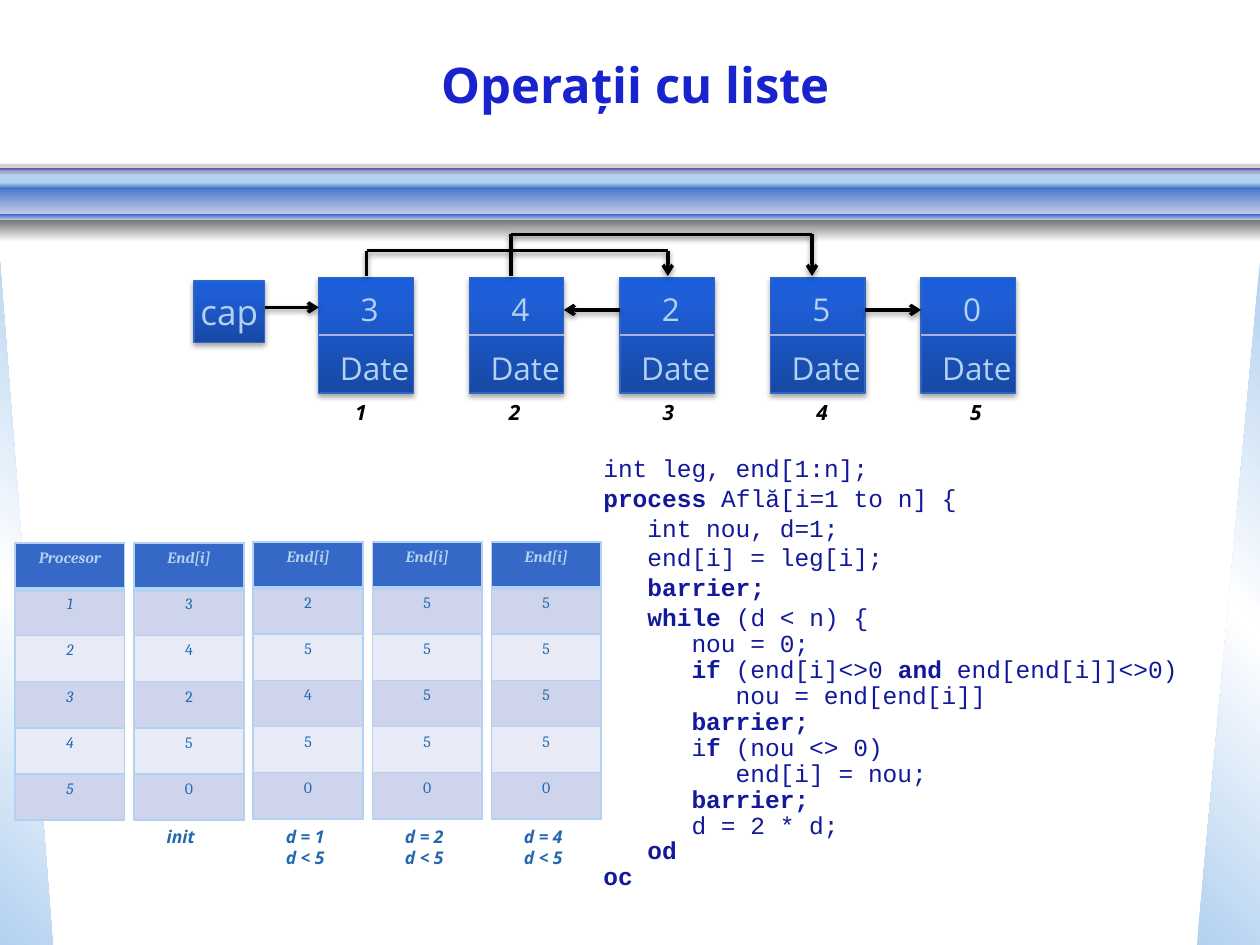
import pptx
import pptx.dml.color
import pptx.enum.shapes
import pptx.enum.text
import pptx.oxml
import pptx.oxml.ns
import pptx.util

COLS, ROWS = 100, 75
SANS, SERIF, MONO = "Open Sans", "Cambria", "Courier New"
PALE, BLUE, MIST = "B3D1F0", "3568C7", "CAD0E9"
NODE_STOPS = [(0, "1749A5"), (80, "1E5ED6"), (100, "1B5EDB")]
SHAPE = pptx.enum.shapes.MSO_SHAPE
CENTER = pptx.enum.text.PP_ALIGN.CENTER
MIDDLE = pptx.enum.text.MSO_ANCHOR.MIDDLE
qn = pptx.oxml.ns.qn

LIST_LINKS = [3, 4, 2, 5, 0]
TABLES = [
    ("Procesor", [1, 2, 3, 4, 5], []),
    ("End[i]", LIST_LINKS, ["init"]),
    ("End[i]", [2, 5, 4, 5, 0], ["d = 1", "d < 5"]),
    ("End[i]", [5, 5, 5, 5, 0], ["d = 2", "d < 5"]),
    ("End[i]", [5, 5, 5, 5, 0], ["d = 4", "d < 5"]),
]
CODE = [
    (0, "int leg, end[1:n];"),
    (0, "**process** Află[i=1 to n] {"),
    (1, "int nou, d=1;"),
    (1, "end[i] = leg[i];"),
    (1, "**barrier;**"),
    (1, "**while** (d < n) {"),
    (2, "nou = 0;"),
    (2, "**if** (end[i]<>0 **and** end[end[i]]<>0)"),
    (3, "nou = end[end[i]]"),
    (2, "**barrier;**"),
    (2, "i**f** (nou <> 0)"),
    (3, "end[i] = nou;"),
    (2, "**barrier;**"),
    (2, "d = 2 * d;"),
    (1, "**od**"),
    (0, "**oc**"),
]


def grid(*cells):
    return [pptx.util.Inches(c / 10) for c in cells]


def color(value):
    return pptx.dml.color.RGBColor.from_string(value)


def xml(tag, attrs, inner=""):
    ns = pptx.oxml.ns.nsdecls("a")
    return pptx.oxml.parse_xml(f"<a:{tag} {ns} {attrs}>{inner}</a:{tag}>")


def set_font(p, name, size, value, bold=False, italic=False):
    p.font.name, p.font.size = name, pptx.util.Pt(size)
    p.font.bold, p.font.italic = bold, italic
    p.font.color.rgb = color(value)


def set_gradient(sp, stops, angle):
    sp.fill.background()
    spPr = sp._element.spPr
    gs = "".join(f'<a:gs pos="{pos * 1000}"><a:srgbClr val="{c}"/></a:gs>' for pos, c in stops)
    inner = f'<a:gsLst>{gs}</a:gsLst><a:lin ang="{angle * 60000}" scaled="0"/>'
    spPr.replace(spPr.find(qn("a:noFill")), xml("gradFill", 'rotWithShape="1"', inner))


def add_shadow(sp, alpha, dist):
    spPr = sp._element.spPr
    for old in spPr.findall(qn("a:effectLst")):
        spPr.remove(old)
    clr = f'<a:srgbClr val="000000"><a:alpha val="{alpha * 1000}"/></a:srgbClr>'
    spPr.append(xml("effectLst", "", f'<a:outerShdw blurRad="40000" dist="{dist}" dir="5400000" '
                                     f'rotWithShape="0">{clr}</a:outerShdw>'))


def add_box(slide, box, kind=SHAPE.RECTANGLE):
    sp = slide.shapes.add_shape(kind, *grid(*box))
    sp.shadow.inherit = False
    sp.line.fill.background()
    return sp


def add_text(slide, box, lines, *font):
    tf = slide.shapes.add_textbox(*grid(*box)).text_frame
    tf.word_wrap = True
    tf.text = "\n".join(lines)
    for p in tf.paragraphs:
        set_font(p, *font)


def add_line(slide, start, end, value="000000", width=2, arrow=False):
    cn = slide.shapes.add_connector(pptx.enum.shapes.MSO_CONNECTOR.STRAIGHT, *grid(*start, *end))
    cn.line.color.rgb, cn.line.width = color(value), pptx.util.Pt(width)
    if arrow:
        cn.line._get_or_add_ln().append(xml("tailEnd", 'type="arrow"'))
    cn._element.spPr.append(xml("effectLst", ""))
    return cn


def add_link(slide, *points):
    for i, (start, end) in enumerate(zip(points, points[1:])):
        add_shadow(add_line(slide, start, end, arrow=i == len(points) - 2), 38, 20000)


def draw_backdrop(slide, w, h):
    stops = [(0, PALE), (50, "FFFFFF"), (100, PALE)]
    for x, side, angle in ((0, 4.2, 315), (w - 5, 5, 45)):
        sp = add_box(slide, (x, 20.8, side, h - 20.8), SHAPE.RIGHT_TRIANGLE)
        set_gradient(sp, stops, angle)
        if x:
            sp._element.spPr.find(qn("a:xfrm")).set("flipH", "1")
    bands = [(13.6, 1, PALE, PALE), (14.6, 2.5, BLUE, MIST), (13.3, 0.3, "1822CD", "BABBE7"),
             (17, 0.5, BLUE, MIST), (14.5, 0.5, PALE, BLUE), (17.5, 1.7, "777777", "FFFFFF")]
    for y, height, top, bottom in bands:
        set_gradient(add_box(slide, (0, y, w, height)), [(0, top), (100, bottom)], 90)
    sp = add_box(slide, (0, 13, w, 0.8))
    sp.fill.solid()
    sp.fill.fore_color.rgb = color("777777")
    sp.fill._xPr.find(qn("a:solidFill"))[0].append(xml("alpha", 'val="31000"'))


def draw_title(slide, box, text):
    title = slide.shapes.title
    title.left, title.top, title.width, title.height = grid(*box)
    title.text_frame.text = text
    title.text_frame.vertical_anchor = MIDDLE
    p = title.text_frame.paragraphs[0]
    p.alignment = CENTER
    set_font(p, SANS, 28, "1822CD", True)


def add_node(slide, box):
    sp = add_box(slide, box)
    set_gradient(sp, NODE_STOPS, 270)
    sp.line.color.rgb, sp.line.width = color("3065C6"), pptx.util.Pt(0.75)
    add_shadow(sp, 35, 23000)
    return sp


def draw_list(slide, x, y, w, h):
    head_w, node_w, node_h, first = 5.6, 7.5, 9.2, 9.9
    pitch = (w - first - node_w) / (len(LIST_LINKS) - 1)
    top, bottom = y + h - node_h, y + h
    lefts = [x + first + i * pitch for i in range(len(LIST_LINKS))]
    tf = add_node(slide, (x, top + 0.3, head_w, 4.9)).text_frame
    tf.word_wrap, tf.vertical_anchor = False, MIDDLE
    tf.text = "cap"
    tf.paragraphs[0].alignment = CENTER
    set_font(tf.paragraphs[0], SANS, 20, PALE)
    for i, (left, link) in enumerate(zip(lefts, LIST_LINKS)):
        mid = top + node_h / 2
        add_node(slide, (left, top, node_w, node_h))
        add_line(slide, (left, mid), (left + node_w, mid), "A9B4DC", 0.75)
        add_text(slide, (left + 0.7, mid + 0.6, 8, 3.4), ["Date"], SANS, 18, PALE)
        add_text(slide, (left + 2.35, top + 0.5, 3.7, 3.4), [str(link)], SANS, 18, PALE)
        add_text(slide, (lefts[0] + 1.9 + 12.2 * i, bottom, 3.9, 3),
                 [str(i + 1)], SANS, 12, "000000", True, True)
    row = top + 2.6
    add_link(slide, (x + head_w, top + 2.4), (lefts[0], top + 2.4))
    add_link(slide, (lefts[3] + node_w, row), (lefts[4], row))
    add_link(slide, (lefts[2], row), (lefts[1] + node_w, row))
    for i, offset, rise in ((0, 3.8, 2.1), (1, 3.3, 3.4)):
        a, b, level = lefts[i] + offset, lefts[i + 2] + offset, top - rise
        add_link(slide, (a, top - 0.1), (a, level), (b, level), (b, top - 0.1))


def draw_code(slide, box):
    tf = slide.shapes.add_textbox(*grid(*box)).text_frame
    tf.word_wrap = True
    for i, (level, text) in enumerate(CODE):
        p = tf.paragraphs[0] if i == 0 else tf.add_paragraph()
        set_font(p, MONO, 14, "12199A")
        p.line_spacing = 0.8
        p.space_before = pptx.util.Pt(3.6 if i < 6 else 1.4)
        p._p.get_or_add_pPr().set("marL", str(pptx.util.Inches(0.35 * level)))
        for j, part in enumerate(text.split("**")):
            if part:
                r = p.add_run()
                r.text, r.font.bold = part, j % 2 == 1


def format_cell(cell, text, row, italic):
    cell.text = text
    cell.fill.solid()
    cell.fill.fore_color.rgb = color(BLUE if row == 0 else ("E8EBF5", "CED4EB")[row % 2])
    p = cell.text_frame.paragraphs[0]
    p.alignment = CENTER
    set_font(p, SERIF, 9, PALE if row == 0 else "2368AF", row == 0, italic)
    widths = {"lnL": 1, "lnR": 1, "lnT": 3 if row == 1 else 1, "lnB": 3 if row == 0 else 1}
    for i, (tag, width) in enumerate(widths.items()):
        fill = f'<a:solidFill><a:srgbClr val="{PALE}"/></a:solidFill>'
        cell._tc.get_or_add_tcPr().insert(i, xml(tag, f'w="{width * 12700}"', fill))


def draw_tables(slide, x, y, w, h):
    col_w = 8.7
    pitch = (w - col_w) / (len(TABLES) - 1)
    for i, (header, values, caption) in enumerate(TABLES):
        left, top = x + i * pitch, y + (0.1 if i < 2 else 0)
        texts = [header, *map(str, values)]
        table = slide.shapes.add_table(len(texts), 1, *grid(left, top, col_w, h)).table
        for row, text in enumerate(texts):
            table.rows[row].height = grid(h / len(texts))[0]
            format_cell(table.cell(row, 0), text, row, row == 0 or i == 0)
        if caption:
            add_text(slide, (left + 1.6, y + h + 0.1, 7.1, 4.4), caption, SANS, 10, "2368AF", True, True)


def main():
    prs = pptx.Presentation()
    prs.slide_width, prs.slide_height = grid(COLS, ROWS)
    slide = prs.slides.add_slide(prs.slide_layouts[5])
    draw_backdrop(slide, COLS, ROWS)
    draw_title(slide, (1.7, 0.8, 97.5, 11.7), "Operații cu liste")
    draw_list(slide, 15.4, 18.6, 65.2, 12.6)
    draw_code(slide, (46.9, 35.9, 52, 31.5))
    draw_tables(slide, 1.2, 43, 46.5, 22)
    prs.save("out.pptx")


if __name__ == "__main__":
    main()
